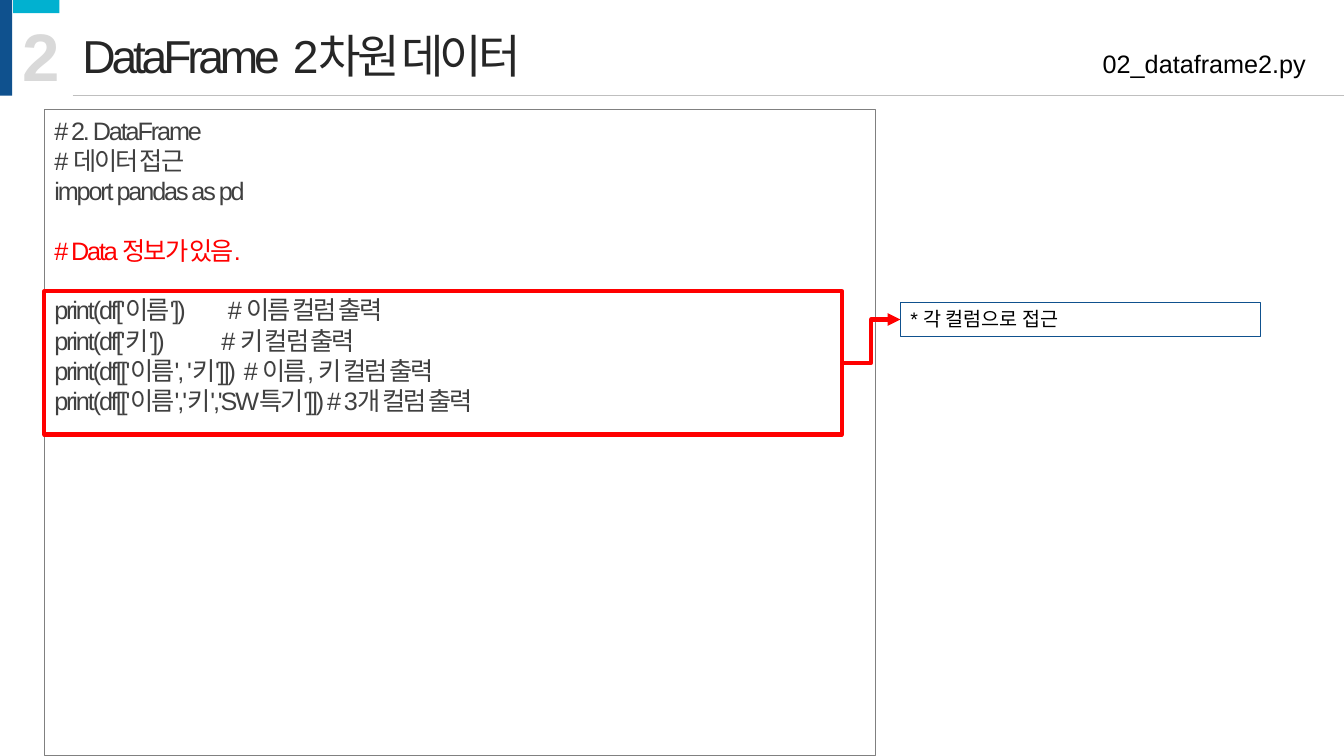
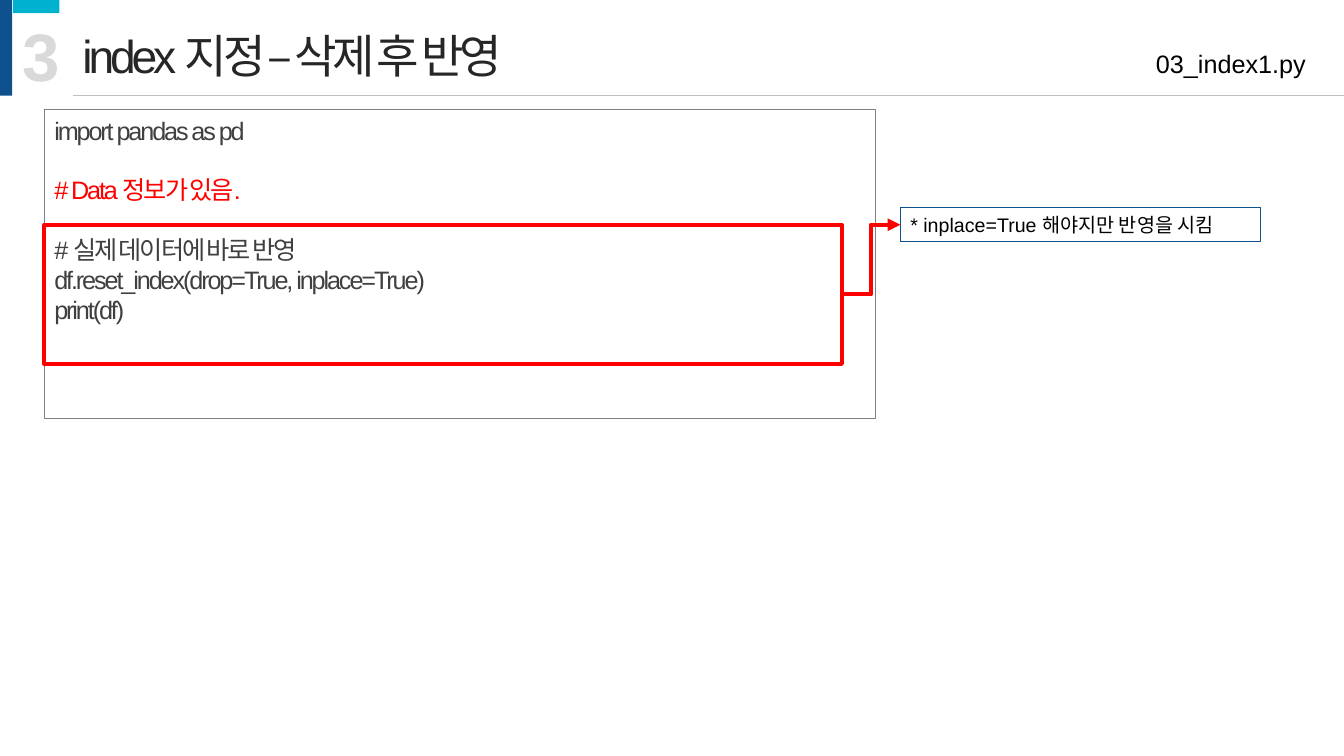
from dataclasses import dataclass
from typing import Optional

from lxml import etree
from pptx import Presentation
from pptx import util as u
from pptx.dml.color import RGBColor
from pptx.enum import shapes, text
from pptx.oxml.ns import qn

EMU_PER_PX = 9144  # 100 px to the inch
FONT = "Arial"
BLANK_LAYOUT = 6
CODE_GAP = 21  # points, one empty code line
COLORS = {
    "navy": "0F518E",
    "cyan": "01B1D0",
    "title": "262626",
    "number": "D9D9D9",
    "rule": "BFBFBF",
    "frame": "808080",
    "code": "404040",
    "accent": "FF0000",
    "black": "000000",
}


@dataclass(frozen=True)
class Box:
    left: int
    top: int
    width: int
    height: int


@dataclass(frozen=True)
class Line:
    words: str
    color: str = "code"
    gap_before: int = 0


@dataclass(frozen=True)
class Lesson:
    number: str
    title: str
    file_name: str
    code: list[Line]
    code_height: int
    highlight_top: int
    highlight_height: int
    note: str
    note_top: int


LESSONS = [
    Lesson(
        number="2",
        title="DataFrame  2차원 데이터",
        file_name="02_dataframe2.py",
        code=[
            Line("# 2. DataFrame"),
            Line("# 데이터 접근"),
            Line("import pandas as pd"),
            Line("# Data 정보가 있음.", "accent", CODE_GAP),
            Line("print(df['이름'])         # 이름 컬럼 출력", gap_before=CODE_GAP),
            Line("print(df['키'])            # 키 컬럼 출력"),
            Line("print(df[['이름', '키']])  # 이름, 키 컬럼 출력"),
            Line("print(df[['이름','키','SW특기']]) # 3개 컬럼 출력"),
        ],
        code_height=641,
        highlight_top=289,
        highlight_height=142,
        note="* 각 컬럼으로 접근",
        note_top=300,
    ),
    Lesson(
        number="3",
        title="index 지정 – 삭제 후 반영",
        file_name="03_index1.py",
        code=[
            Line("import pandas as pd"),
            Line("# Data 정보가 있음.", "accent", CODE_GAP),
            Line("# 실제 데이터에 바로 반영", gap_before=CODE_GAP),
            Line("df.reset_index(drop=True, inplace=True)"),
            Line("print(df)"),
        ],
        code_height=306,
        highlight_top=223,
        highlight_height=138,
        note="* inplace=True 해야지만 반영을 시킴",
        note_top=206,
    ),
]


def px(length: int) -> u.Emu:
    return u.Emu(length * EMU_PER_PX)


def place(box: Box) -> tuple:
    return px(box.left), px(box.top), px(box.width), px(box.height)


def rgb(name: str) -> RGBColor:
    return RGBColor.from_string(COLORS[name])


def write(shape, lines: list[Line], *, size: int, bold: bool = False,
          spacing: float = 0, align=text.PP_ALIGN.LEFT, wrap: bool = True) -> None:
    """Fill a shape with one paragraph per line."""
    frame = shape.text_frame
    frame.word_wrap = wrap
    frame.vertical_anchor = text.MSO_ANCHOR.TOP
    for index, line in enumerate(lines):
        paragraph = frame.add_paragraph() if index else frame.paragraphs[0]
        paragraph.alignment = align
        if line.gap_before:
            paragraph.space_before = u.Pt(line.gap_before)
        run = paragraph.add_run()
        run.text = line.words
        run.font.name = FONT
        run.font.size = u.Pt(size)
        run.font.bold = bold
        run.font.color.rgb = rgb(line.color)
        if spacing:
            run.font._element.set("spc", str(int(spacing * 100)))


def add_label(slide, box: Box, words: str, color: str, **style) -> None:
    write(slide.shapes.add_textbox(*place(box)), [Line(words, color)], **style)


def add_rect(slide, box: Box, *, fill: Optional[str] = None,
             outline: Optional[str] = None, weight: float = 0.75):
    rect = slide.shapes.add_shape(shapes.MSO_SHAPE.RECTANGLE, *place(box))
    rect.shadow.inherit = False
    if fill:
        rect.fill.solid()
        rect.fill.fore_color.rgb = rgb(fill)
    else:
        rect.fill.background()
    if outline:
        rect.line.color.rgb = rgb(outline)
        rect.line.width = u.Pt(weight)
    else:
        rect.line.fill.background()
    return rect


def add_line(slide, kind, start: tuple[int, int], end: tuple[int, int],
             color: str, weight: float):
    line = slide.shapes.add_connector(kind, *map(px, start + end))
    line.line.color.rgb = rgb(color)
    line.line.width = u.Pt(weight)
    etree.SubElement(line._element.spPr, qn("a:effectLst"))
    return line


def add_header(slide, lesson: Lesson) -> None:
    # Corner bands
    add_rect(slide, Box(0, 0, 12, 95), fill="navy")
    add_rect(slide, Box(13, 0, 46, 13), fill="cyan")
    # Title, section number, rule and file name
    add_label(slide, Box(72, 22, 1217, 67), lesson.title, "title", size=33, spacing=-3)
    add_label(slide, Box(12, 9, 58, 91), lesson.number, "number",
              size=48, bold=True, wrap=False)
    add_line(slide, shapes.MSO_CONNECTOR.STRAIGHT, (72, 95), (1333, 95), "rule", 0.5)
    add_label(slide, Box(893, 43, 412, 40), lesson.file_name, "black",
              size=18, align=text.PP_ALIGN.RIGHT)


def add_code(slide, lesson: Lesson) -> None:
    # Code listing
    listing = add_rect(slide, Box(44, 109, 824, lesson.code_height), outline="frame")
    write(listing, lesson.code, size=18, spacing=-1.5)
    # Note and highlighted lines
    note_box = Box(893, lesson.note_top, 357, 34)
    note = add_rect(slide, note_box, outline="navy")
    write(note, [Line(lesson.note, "black")], size=14)
    focus_box = Box(44, lesson.highlight_top, 791, lesson.highlight_height)
    focus = add_rect(slide, focus_box, outline="accent", weight=3)
    # Arrow from the highlighted lines to the note
    arrow = add_line(
        slide, shapes.MSO_CONNECTOR.ELBOW,
        (focus_box.left + focus_box.width, focus_box.top + focus_box.height // 2),
        (note_box.left, note_box.top + note_box.height // 2), "accent", 3)
    arrow.begin_connect(focus, 3)
    arrow.end_connect(note, 1)
    etree.SubElement(arrow.line._get_or_add_ln(), qn("a:tailEnd"), type="triangle")


def main() -> None:
    deck = Presentation()
    deck.slide_width, deck.slide_height = px(1333), px(750)
    for lesson in LESSONS:
        slide = deck.slides.add_slide(deck.slide_layouts[BLANK_LAYOUT])
        add_header(slide, lesson)
        add_code(slide, lesson)
    deck.save("out.pptx")


if __name__ == "__main__":
    main()
